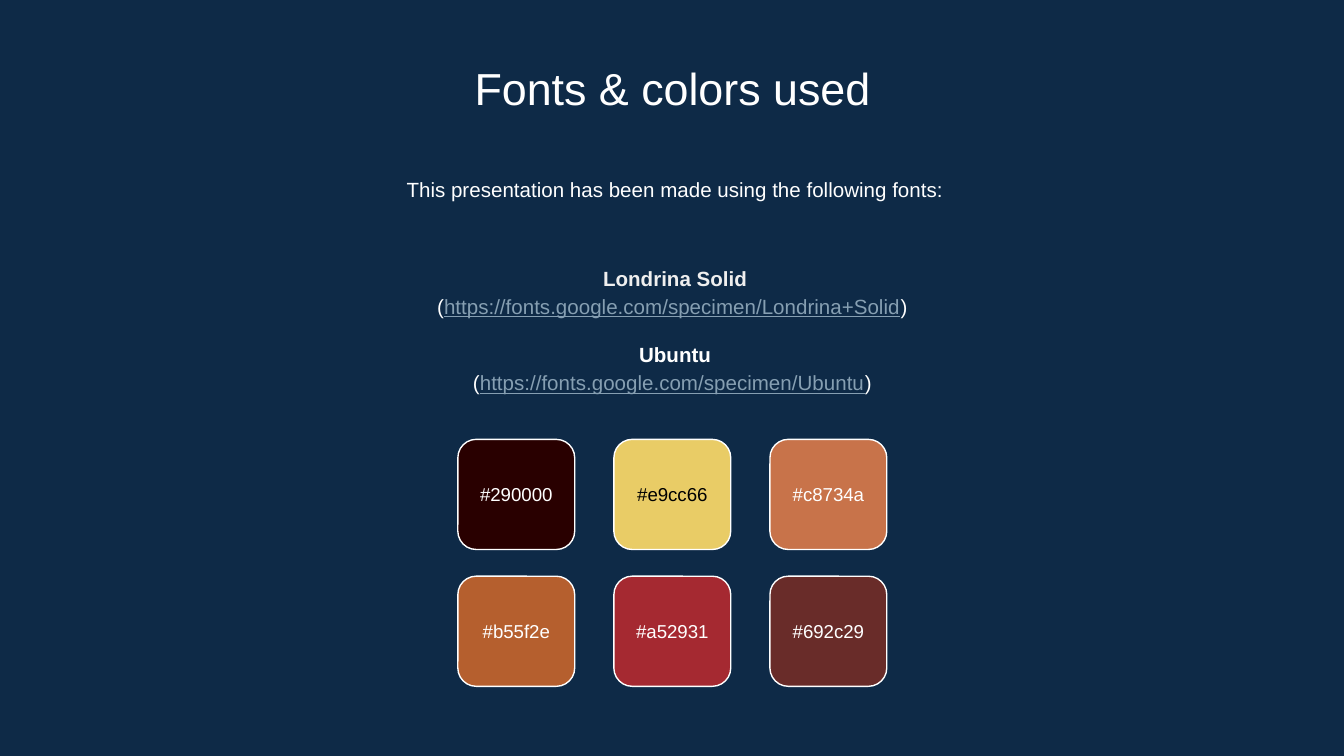
"""Build the slide that lists the fonts and colors in use."""
from pptx import Presentation
from pptx.dml.color import RGBColor as Rgb
from pptx.enum.shapes import MSO_SHAPE as Shape
from pptx.enum.text import MSO_ANCHOR as Anchor, MSO_AUTO_SIZE as Fit, PP_ALIGN as Align
from pptx.util import Pt

HUES = {"back": "0E2A47", "white": "FFFFFF", "pale": "EFEFEF",
        "link": "869FB2", "black": "000000"}
FACE = "Arial"
CARDS = [["#290000", "#e9cc66", "#c8734a"],
         ["#b55f2e", "#a52931", "#692c29"]]
FONTS = [("Londrina Solid", "https://fonts.google.com/specimen/Londrina+Solid", "pale", 0),
         ("Ubuntu", "https://fonts.google.com/specimen/Ubuntu", "white", 10.6)]


def tint(code):
    return Rgb.from_string(HUES.get(code, code))


def style(para, size, hue="white", space=None):
    para.alignment = Align.CENTER
    para.line_spacing = space
    para.font.name = FACE
    para.font.size = Pt(size)
    para.font.color.rgb = tint(hue)


def set_frame(frame, anchor, inset=7.2):
    frame.word_wrap = True
    frame.auto_size = Fit.NONE
    frame.vertical_anchor = anchor
    frame.margin_left = frame.margin_right = Pt(inset)
    frame.margin_top = frame.margin_bottom = Pt(inset)


def add_title(slide, text):
    title = slide.shapes.title
    title.left, title.top, title.width, title.height = Pt(82.8), Pt(25.2), Pt(555), Pt(38.2)
    title.text = text
    set_frame(title.text_frame, Anchor.TOP)
    style(title.text_frame.paragraphs[0], 24)


def add_box(slide, top, height, anchor):
    box = slide.shapes.add_textbox(Pt(84.2), Pt(top), Pt(555), Pt(height))
    set_frame(box.text_frame, anchor)
    return box.text_frame


def add_intro(slide, text):
    para = add_box(slide, 85.7, 34.6, Anchor.TOP).paragraphs[0]
    para.text = text
    style(para, 11, space=1.15)


def add_fonts(slide):
    frame = add_box(slide, 126.7, 98.6, Anchor.MIDDLE)
    para = frame.paragraphs[0]
    for name, url, hue, gap in FONTS:
        if gap:
            para = frame.add_paragraph()
            para.space_before = Pt(gap)
        para.text = name
        style(para, 11, hue, 1.15)
        para.font.bold = True
        line = frame.add_paragraph()
        style(line, 11, space=1.15)
        for text in ("(", url, ") "):
            run = line.add_run()
            run.text = text
            if text == url:
                run.font.underline = True
                run.font.color.rgb = tint("link")


def add_card(slide, left, top, code):
    card = slide.shapes.add_shape(Shape.ROUNDED_RECTANGLE, Pt(left), Pt(top), Pt(62.6), Pt(59))
    card.shadow.inherit = False
    card.fill.solid()
    card.fill.fore_color.rgb = tint(code[1:].upper())
    card.line.color.rgb = tint("white")
    card.line.width = Pt(0.75)
    set_frame(card.text_frame, Anchor.MIDDLE, 0)
    para = card.text_frame.paragraphs[0]
    para.text = code
    style(para, 10, "black" if code == "#e9cc66" else "white")


def main():
    deck = Presentation()
    deck.slide_width, deck.slide_height = Pt(720), Pt(405)
    slide = deck.slides.add_slide(deck.slide_layouts[5])
    slide.background.fill.solid()
    slide.background.fill.fore_color.rgb = tint("back")
    add_title(slide, "Fonts & colors used")
    add_intro(slide, "This presentation has been made using the following fonts:")
    add_fonts(slide)
    for row, codes in enumerate(CARDS):
        for col, code in enumerate(codes):
            add_card(slide, 245.3 + 83.6 * col, 235.4 + 73.3 * row, code)
    deck.save("out.pptx")


if __name__ == "__main__":
    main()
